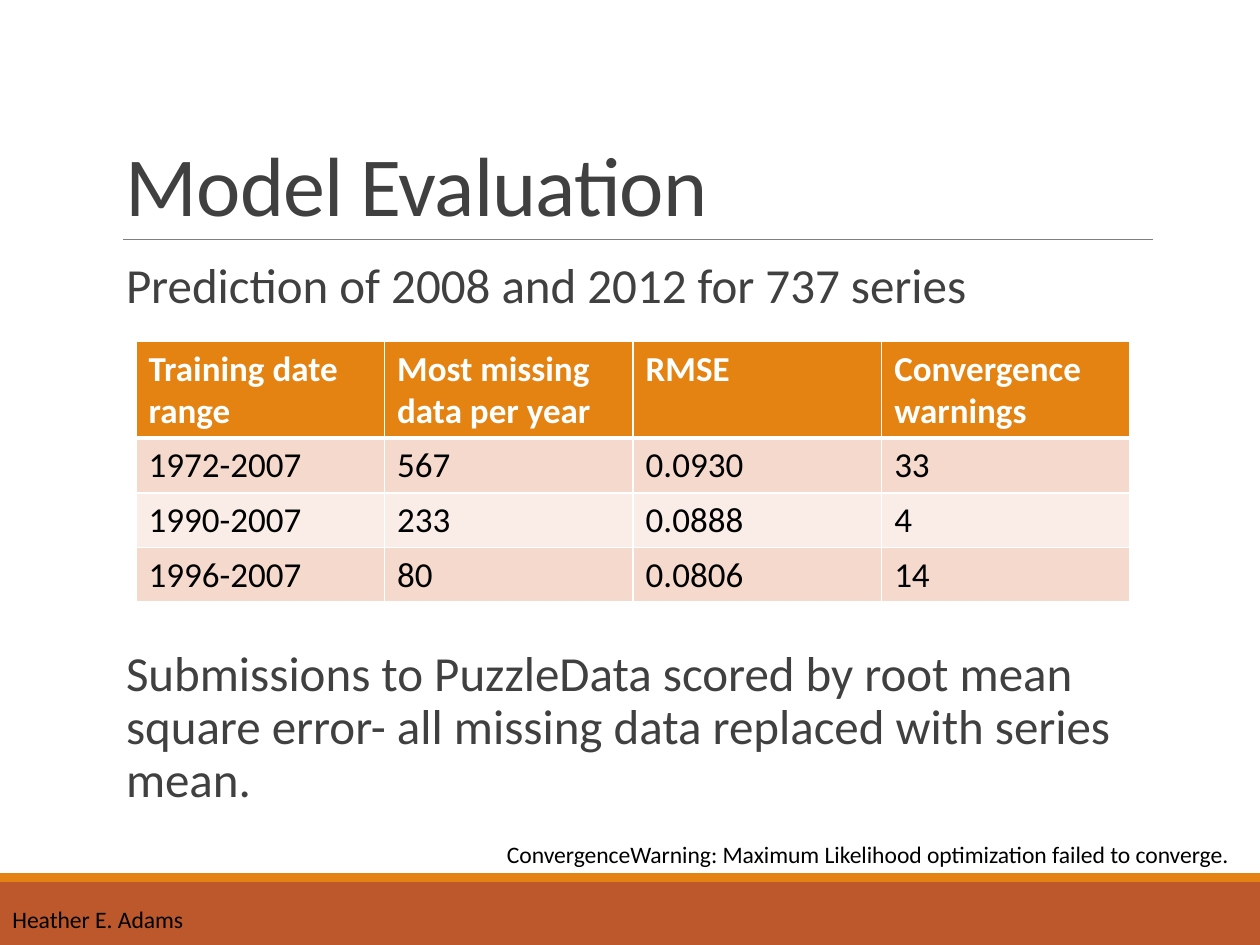
from dataclasses import dataclass

from lxml import etree
from pptx import Presentation
from pptx.dml.color import RGBColor
from pptx.enum.shapes import MSO_CONNECTOR, MSO_SHAPE
from pptx.enum.text import MSO_ANCHOR, PP_ALIGN
from pptx.oxml.ns import qn
from pptx.util import Inches, Pt

RECT, LINE = MSO_SHAPE.RECTANGLE, MSO_CONNECTOR.STRAIGHT
TOP, MID, LOW = MSO_ANCHOR.TOP, MSO_ANCHOR.MIDDLE, MSO_ANCHOR.BOTTOM
LEFT, RIGHT = PP_ALIGN.LEFT, PP_ALIGN.RIGHT


@dataclass(frozen=True)
class Theme:
    font: str = "Calibri"
    ink: str = "404040"
    black: str = "000000"
    white: str = "FFFFFF"
    rule: str = "808080"
    orange: str = "E48312"
    rust: str = "BD582C"
    bands: tuple = ("F5D9CC", "FAEDE7")
    title: float = 48
    body: float = 28
    cell: float = 20
    small: float = 13.5


class Deck:
    """Holds the theme and slide; lengths are units of a 100 x 75 grid."""

    def __init__(self, theme):
        self.theme = theme
        self.prs = Presentation()
        self.prs.slide_width, self.prs.slide_height = Inches(10), Inches(7.5)
        self.unit = self.prs.slide_width / 100
        self.slide = self.prs.slides.add_slide(self.prs.slide_layouts[6])

    def grid(self, *vals):
        return [round(v * self.unit) for v in vals]

    def style(self, para, size, color, bold=False, track=0):
        for run in para.runs:
            font = run.font
            font.name, font.size, font.bold = self.theme.font, Pt(size), bold
            font.color.rgb = RGBColor.from_string(color)
            if track:
                run._r.get_or_add_rPr().set("spc", str(track))

    def bar(self, top, high, color):
        shape = self.slide.shapes.add_shape(RECT, *self.grid(0, top, 100, high))
        shape.shadow.inherit = False
        shape.fill.solid()
        shape.fill.fore_color.rgb = RGBColor.from_string(color)
        shape.line.fill.background()

    def rule(self, left, right, top):
        line = self.slide.shapes.add_connector(LINE, *self.grid(left, top, right, top))
        line.line.color.rgb = RGBColor.from_string(self.theme.rule)
        line.line.width = Pt(0.5)
        etree.SubElement(line._element.spPr, qn("a:effectLst"))

    def text(self, words, box, size, color, pad=(0, 0.5), anchor=TOP,
             align=LEFT, lead=1, track=0, wrap=True):
        frame = self.slide.shapes.add_textbox(*self.grid(*box)).text_frame
        frame.text, frame.word_wrap = words, wrap
        frame.vertical_anchor = anchor
        side, edge = self.grid(*pad)
        frame.margin_left = frame.margin_right = side
        frame.margin_top = frame.margin_bottom = edge
        para = frame.paragraphs[0]
        para.alignment, para.line_spacing = align, lead
        self.style(para, size, color, track=track)

    def edges(self, cell, widths):
        """Draw white borders; widths maps a side (L, R, T, B) to points."""
        props = cell._tc.get_or_add_tcPr()
        for spot, (side, width) in enumerate(widths.items()):
            line = etree.Element(qn(f"a:ln{side}"), w=str(Pt(width)))
            fill = etree.SubElement(line, qn("a:solidFill"))
            etree.SubElement(fill, qn("a:srgbClr"), val=self.theme.white)
            props.insert(spot, line)

    def table(self, rows, box, head, step):
        look = self.theme
        table = self.slide.shapes.add_table(
            len(rows), len(rows[0]), *self.grid(*box)).table
        for r, row in enumerate(rows):
            table.rows[r].height = self.grid(step if r else head)[0]
            back = look.bands[(r - 1) % 2] if r else look.orange
            for c, words in enumerate(row):
                cell = table.cell(r, c)
                cell.text = words
                cell.fill.solid()
                cell.fill.fore_color.rgb = RGBColor.from_string(back)
                self.style(cell.text_frame.paragraphs[0], look.cell,
                           look.black if r else look.white, bold=r == 0)
                self.edges(cell, {"L": 1, "R": 1, "T": 3 if r == 1 else 1,
                                  "B": 1 if r else 3})


def main():
    look = Theme()
    deck = Deck(look)
    deck.bar(70, 5, look.rust)
    deck.bar(69.3, 0.7, look.orange)
    deck.rule(9.8, 91.5, 19)
    deck.text("Model Evaluation", (9, 3.1, 82.5, 15.9), look.title, look.ink,
              pad=(1, 0.5), anchor=LOW, lead=0.85, track=-50)
    for words, top, high in (
        ("Prediction of 2008 and 2012 for 737 series", 20.2, 5.3),
        ("Submissions to PuzzleData scored by root mean square error- "
         "all missing data replaced with series mean.", 51, 13.9),
    ):
        deck.text(words, (10, top, 81.5, high), look.body, look.ink, lead=0.9)
    deck.text("ConvergenceWarning: Maximum Likelihood optimization failed to converge.",
              (36.8, 66.6, 60.7, 2.3), look.small, look.black,
              pad=(0, 0), anchor=MID, align=RIGHT)
    deck.text("Heather E. Adams", (0, 71.3, 15.8, 3.3), look.small, look.black,
              pad=(1, 0.5), wrap=False)
    deck.table((
        ("Training date range", "Most missing data per year", "RMSE",
         "Convergence warnings"),
        ("1972-2007", "567", "0.0930", "33"),
        ("1990-2007", "233", "0.0888", "4"),
        ("1996-2007", "80", "0.0806", "14"),
    ), (10.8, 27.1, 78.9, 20.5), head=7.6, step=4.3)
    deck.prs.save("out.pptx")


if __name__ == "__main__":
    main()
